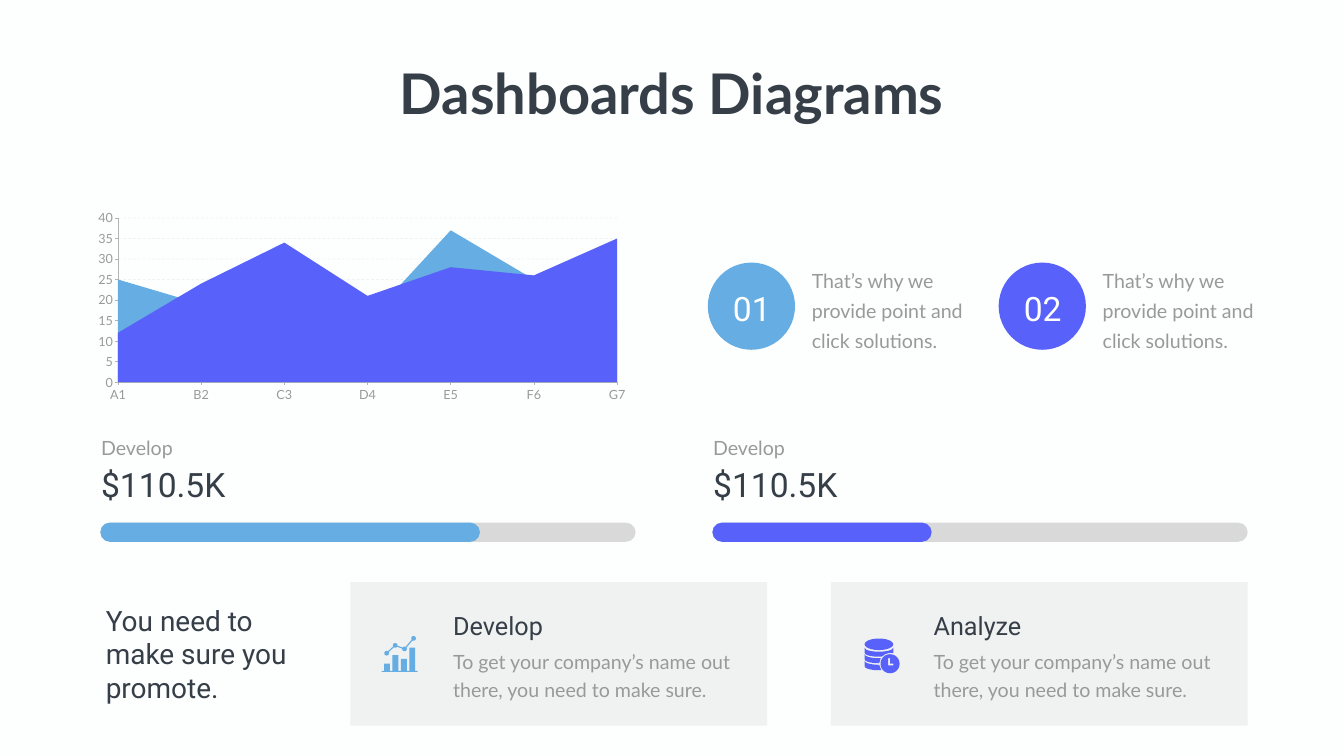
import itertools
import math
from dataclasses import dataclass

import pptx
import pptx.chart.data
import pptx.dml.color
import pptx.enum.chart
import pptx.enum.dml
import pptx.enum.shapes
import pptx.enum.text
import pptx.oxml
import pptx.oxml.ns
import pptx.util

Pt = pptx.util.Pt
qn = pptx.oxml.ns.qn
SHAPE = pptx.enum.shapes.MSO_SHAPE
ALIGN = pptx.enum.text.PP_ALIGN


@dataclass(frozen=True)
class Theme:
    paper: str = "FDFFFE"
    ink: str = "363E48"
    muted: str = "999999"
    axis: str = "B3B3B3"
    track: str = "D9D9D9"
    shade: str = "808080"
    sky: str = "65ADE2"
    violet: str = "5862FA"
    white: str = "FFFFFF"
    body_font: str = "Lato"
    head_font: str = "Roboto"
    title: float = 80
    figure: float = 48
    lead: float = 40
    heading: float = 36
    body: float = 28
    label: float = 18


THEME = Theme()


def rgb(color):
    return pptx.dml.color.RGBColor.from_string(color)


def set_alpha(fill_parent, percent):
    """Make the solid colour below an element translucent."""
    color = next(fill_parent.iter(qn("a:srgbClr")))
    alpha = pptx.oxml.parse_xml(f'<a:alpha {pptx.oxml.ns.nsdecls("a")} val="{percent * 1000}"/>')
    color.append(alpha)


def paint(shape, color):
    shape.shadow.inherit = False
    shape.fill.solid()
    shape.fill.fore_color.rgb = rgb(color)
    shape.line.fill.background()
    return shape


def add_text(page, text, left, top, width, height, *, size=THEME.body, font=THEME.body_font,
             color=THEME.muted, bold=False, align=ALIGN.LEFT, leading=None, wrap=True):
    box = page.shapes.add_textbox(Pt(left), Pt(top), Pt(width), Pt(height))
    box.text_frame.word_wrap = wrap
    box.text_frame.auto_size = pptx.enum.text.MSO_AUTO_SIZE.SHAPE_TO_FIT_TEXT
    para = box.text_frame.paragraphs[0]
    para.alignment = align
    if leading:
        para.line_spacing = Pt(leading)
    span = para.add_run()
    span.text = text
    span.font.size, span.font.name, span.font.bold = Pt(size), font, bold
    span.font.color.rgb = rgb(color)


def add_block(page, kind, left, top, width, height, color):
    shape = page.shapes.add_shape(kind, Pt(left), Pt(top), Pt(width), Pt(height))
    return paint(shape, color)


def add_outline(page, left, top, contours, color):
    """Draw closed contours, given in points from (left, top), as one shape."""
    builder = None
    for contour in contours:
        first, *rest = [(Pt(left + x), Pt(top + y)) for x, y in contour]
        if builder is None:
            builder = page.shapes.build_freeform(*first)
        else:
            builder.move_to(*first)
        builder.add_line_segments(rest, close=True)
    paint(builder.convert_to_shape(), color)


def arc(x, y, radius, start, sweep, steps=24):
    angles = [start + sweep * step / steps for step in range(steps + 1)]
    return [(x + radius * math.cos(a), y + radius * math.sin(a)) for a in angles]


def add_trend_icon(page, left, top, color):
    # Bars standing on a base line
    outline = [(0, 51.9), (0, 50.4)]
    for index, peak in enumerate((40, 28, 33.1, 17.3)):
        start = 3.6 + 12 * index
        outline += [(start, 50.4), (start, peak), (start + 8.4, peak), (start + 8.4, 50.4)]
    add_outline(page, left, top, [outline + [(51.6, 50.4), (51.6, 51.9)]], color)

    # Linked dots: walk along the nodes and back, rounding each one
    nodes = [(7.2, 25.2), (19.4, 14), (32.8, 19.1), (45.7, 4)]
    route = nodes + nodes[-2:0:-1]
    gap, trend = 0.25, []
    for before, here, after in zip(route[-1:] + route[:-1], route, route[1:] + route[:1]):
        start = math.atan2(before[1] - here[1], before[0] - here[0]) + gap
        end = math.atan2(after[1] - here[1], after[0] - here[0]) - gap
        trend += arc(*here, 3.3, start, (end - start) % math.tau)
    add_outline(page, left, top, [trend], color)


def add_database_icon(page, left, top, color):
    half = 20.5

    def curve(edge, right):
        xs = [right * step / 20 for step in range(21)]
        return [(x, edge + 5.8 * math.sqrt(max(0, 1 - (x / half - 1) ** 2))) for x in xs]

    # Lid and three layers, cut short where the clock sits
    add_block(page, SHAPE.OVAL, left, top, 2 * half, 16.5, color)
    layers = [(13, 20.2, 41, 24.5, [(41, 20.9), (36, 20.5), (30, 22)]),
              (22.3, 29.5, 23, 20.9, []),
              (31.7, 39.5, 20.9, 23.8, [])]
    for upper, lower, upper_right, lower_right, cut in layers:
        layer = curve(upper, upper_right) + cut + curve(lower, lower_right)[::-1]
        add_outline(page, left, top, [layer], color)

    # Clock with its hands left open
    face = arc(36.4, 36, 13.6, 0, math.tau, 48)
    hands = [(33.8, 28), (33.8, 38.2), (41, 38.2), (41, 36), (36.4, 36), (36.4, 28)]
    add_outline(page, left, top, [face, hands], color)


def add_area_chart(page):
    data = pptx.chart.data.CategoryChartData()
    data.categories = ["A1", "B2", "C3", "D4", "E5", "F6", "G7"]
    data.add_series("Series 1", (12, 24, 34, 21, 28, 26, 35))
    data.add_series("Series 2", (25, 19, 19, 15, 37, 25, 15))
    chart = page.shapes.add_chart(pptx.enum.chart.XL_CHART_TYPE.AREA, Pt(124.6), Pt(295.2),
                                  Pt(783.4), Pt(285.1), data).chart
    chart.has_title = chart.has_legend = False
    chart.font.size, chart.font.name = Pt(THEME.label), THEME.body_font
    chart.font.color.rgb = rgb(THEME.muted)
    for series, color in zip(chart.plots[0].series, (THEME.violet, THEME.sky)):
        series.format.fill.solid()
        series.format.fill.fore_color.rgb = rgb(color)

    # Axes and grid
    values, categories = chart.value_axis, chart.category_axis
    values.minimum_scale, values.maximum_scale, values.major_unit = 0, 40, 5
    categories.has_major_gridlines = False
    values.has_major_gridlines = True
    for axis in (values, categories):
        axis.major_tick_mark = pptx.enum.chart.XL_TICK_MARK.OUTSIDE
        axis.minor_tick_mark = pptx.enum.chart.XL_TICK_MARK.NONE
        axis.format.line.color.rgb = rgb(THEME.axis)
    grid = values.major_gridlines
    grid.format.line.color.rgb = rgb(THEME.shade)
    grid.format.line.width = Pt(1)
    grid.format.line.dash_style = pptx.enum.dml.MSO_LINE.DASH
    set_alpha(values._element.find(qn("c:majorGridlines")), 10)

    # Areas start on the axis; the plot keeps a fixed place in the frame
    for crossing in chart._chartSpace.iter(qn("c:crossBetween")):
        crossing.set("val", "midCat")
    plot_area = next(chart._chartSpace.iter(qn("c:plotArea")))
    for old in plot_area.findall(qn("c:layout")):
        plot_area.remove(old)
    place = "".join(f'<c:{tag} val="{value}"/>' for tag, value in (
        ("layoutTarget", "inner"), ("xMode", "edge"), ("yMode", "edge"),
        ("x", 0.056), ("y", 0.057), ("w", 0.91), ("h", 0.822)))
    plot_area.insert(0, pptx.oxml.parse_xml(
        f'<c:layout {pptx.oxml.ns.nsdecls("c")}><c:manualLayout>{place}</c:manualLayout></c:layout>'))


def add_meter(page, left, filled, color):
    for width, fill in ((764.6, THEME.track), (filled, color)):
        add_block(page, SHAPE.ROUNDED_RECTANGLE, left, 746.6, width, 27.4, fill).adjustments[0] = 0.5
    add_text(page, "Develop", left - 6, 612, 162, 45.4, leading=40.8)
    add_text(page, "$110.5K", left - 6, 658.8, 212.4, 65.5,
             size=THEME.figure, font=THEME.head_font, color=THEME.ink)


def add_callout(page, left, number, color):
    add_block(page, SHAPE.OVAL, left, 375.1, 124.6, 124.6, color)
    add_text(page, number, left + 25, 407.5, 75.6, 69.1, size=THEME.figure,
             font=THEME.head_font, color=THEME.white, align=ALIGN.CENTER)
    add_text(page, "That’s why we provide point and click solutions.",
             left + 141.5, 370.8, 261.4, 132.5, leading=43)


def add_card(page, left, heading):
    panel = add_block(page, SHAPE.RECTANGLE, left, 831.6, 595.4, 205.2, THEME.shade)
    set_alpha(panel._element.spPr, 10)
    add_text(page, "To get your company’s name out there, you need to make sure.",
             left + 139.7, 917.3, 425.5, 85.7, leading=40.8)
    add_text(page, heading, left + 139.7, 867.6, 403.2, 49.7,
             size=THEME.heading, font=THEME.head_font, color=THEME.ink)


def main():
    deck = pptx.Presentation()
    deck.slide_width, deck.slide_height = Pt(1919.52), Pt(1080)
    page = deck.slides.add_slide(deck.slide_layouts[6])
    page.background.fill.solid()
    page.background.fill.fore_color.rgb = rgb(THEME.paper)

    # Title
    add_text(page, "Dashboards Diagrams", 555.8, 80.6, 807.8, 104.4, size=THEME.title,
             color=THEME.ink, bold=True, align=ALIGN.CENTER, wrap=False)

    # Chart and numbered callouts
    add_area_chart(page)
    add_callout(page, 1010.9, "01", THEME.sky)
    add_callout(page, 1426.3, "02", THEME.violet)

    # Progress meters
    add_meter(page, 143.3, 542.2, THEME.sky)
    add_meter(page, 1017.4, 313.2, THEME.violet)

    # Closing line and cards
    add_text(page, "You need to make sure you promote.", 144, 858.2, 285.8, 152.6,
             size=THEME.lead, font=THEME.head_font, color=THEME.ink)
    add_card(page, 500.4, "Develop")
    add_trend_icon(page, 545, 908, THEME.sky)
    add_card(page, 1186.6, "Analyze")
    add_database_icon(page, 1234.8, 912.2, THEME.violet)

    deck.save("out.pptx")


if __name__ == "__main__":
    main()
